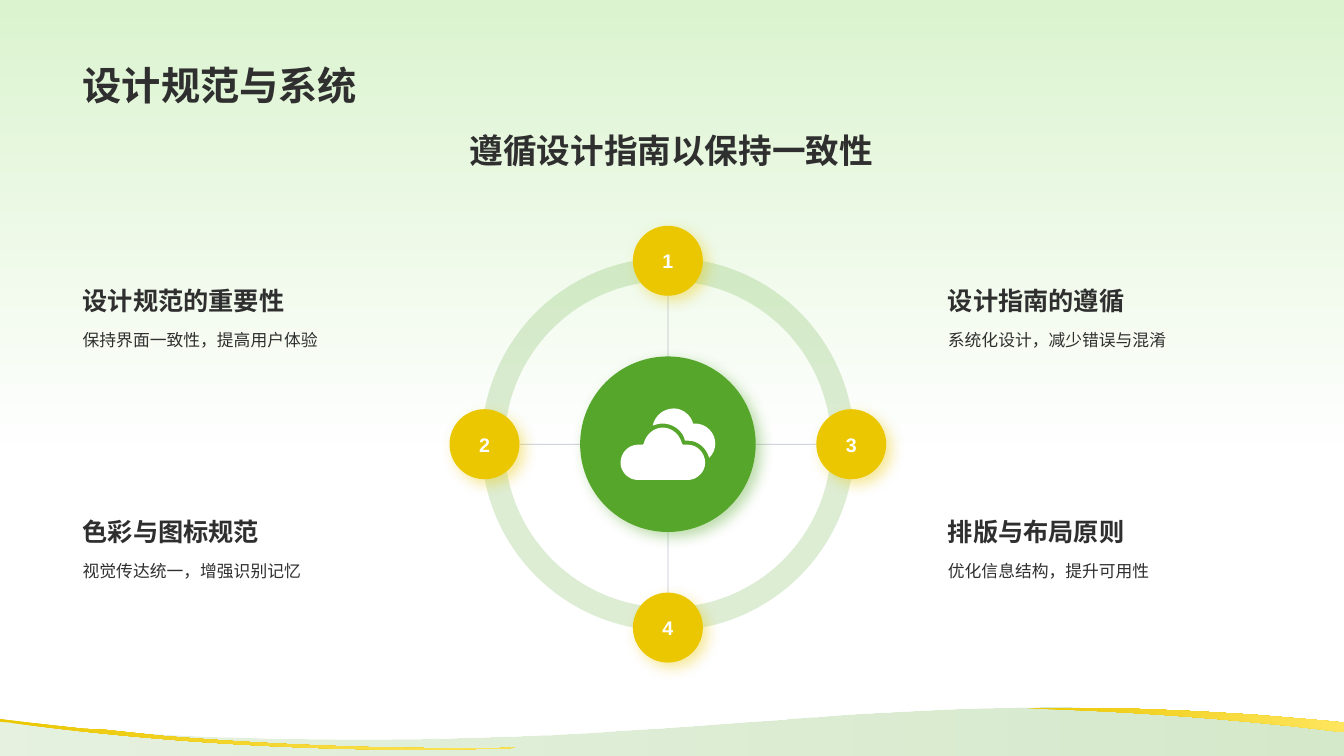
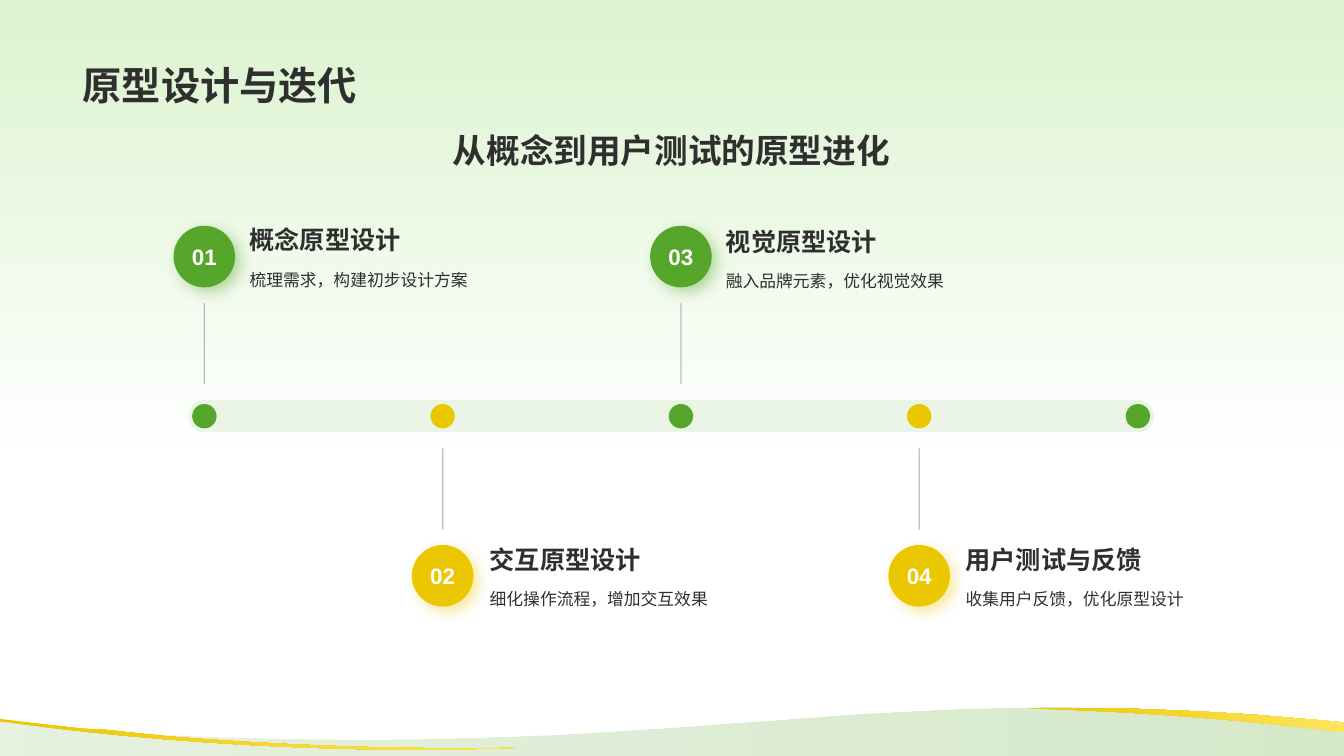
from collections import namedtuple
from math import cos, pi, sin

from lxml.etree import SubElement
from pptx import Presentation
from pptx.dml.color import RGBColor
from pptx.enum.shapes import MSO_CONNECTOR as Connector, MSO_SHAPE as Shape
from pptx.enum.text import MSO_ANCHOR as Anchor, MSO_AUTO_SIZE as AutoSize, PP_ALIGN as Align
from pptx.oxml.ns import qn
from pptx.util import Pt

GREEN, YELLOW, LEMON = "55A62A", "EBC702", "FEE55D"
INK, WHITE, MINT, SLATE = "2F2F2F", "FFFFFF", "DBF3CF", "778495"
FONT = "Arial"

Box = namedtuple("Box", "left top width height")
TITLE_BOX = Box(52, 10.2, 855, 70.6)
SUBTITLE_BOX = Box(52, 89.2, 855, 38)

WAVE = [(742.3, 505.4), (802.1, 505.4, 869.8, 507.6, 946.1, 514.8), (960, 516.2),
        (960, 540), (0, 540), (0, 513.4), (4.3, 514.1),
        (43.9, 519.8, 222.5, 541.4, 528.5, 516.2),
        (582.5, 512.6, 653, 506.2, 742.3, 505.4)]
LEFT_RIBBON = [(0, 513.4), (4.3, 514.1), (14.4, 515.5, 33.1, 517.7, 59.8, 520.6),
               (74.9, 521.3), (115.2, 525.6), (176.4, 530.6, 261.4, 535.7, 367.9, 534.2),
               (213.1, 540, 71.3, 524.9, 7.2, 516.2), (0, 515.5)]
RIGHT_RIBBON = [(742.3, 505.4), (757.4, 505.4, 772.6, 505.4, 788.4, 505.4),
                (811.4, 506.2), (818.6, 506.9),
                (829.4, 506.9, 843.1, 507.6, 858.2, 508.3), (895, 510.5), (946.1, 514.8),
                (960, 516.2), (960, 522.7), (956.9, 522.7),
                (916.6, 517.7, 835.9, 509, 739.4, 506.2), (729.4, 505.4)]
FRONT_CLOUD = [(42, 19), (51, 19, 59, 26, 61, 35), (61, 35, 61, 36, 62, 36),
               (62, 36, 63, 36, 63, 36), (64, 36, 65, 36, 67, 36),
               (76, 36, 84, 44, 84, 54), (84, 63, 76, 71, 67, 71), (17, 71),
               (8, 71, 0, 63, 0, 54), (0, 44, 8, 36, 17, 36), (18, 36, 20, 36, 21, 36),
               (21, 36, 22, 36, 22, 36), (23, 36, 23, 35, 23, 35),
               (25, 26, 33, 19, 42, 19)]
BACK_CLOUD = [(53, 0), (62, 0, 70, 7, 72, 15), (73, 15, 74, 15, 74, 15),
              (85, 15, 94, 24, 94, 35), (94, 40, 92, 45, 88, 49),
              (85, 39, 77, 32, 67, 32), (66, 32, 65, 32, 64, 32),
              (62, 22, 52, 15, 42, 15), (38, 15, 35, 16, 32, 17), (34, 7, 43, 0, 53, 0)]


def color(value):
    return RGBColor.from_string(value)


def points(box):
    return [Pt(length) for length in box]


def around(x, y, size):
    return Box(x - size / 2, y - size / 2, size, size)


def set_opacity(shape, *percents):
    for element, percent in zip(shape.element.iter(qn("a:srgbClr")), percents):
        SubElement(element, qn("a:alpha"), val=str(percent * 1000))


def set_gradient(fill, stops, angle):
    fill.gradient()
    fill.gradient_angle = angle
    for stop, (position, value) in zip(fill.gradient_stops, stops):
        stop.position = position
        stop.color.rgb = color(value)


def add_glow(shape, value):
    effects = shape.element.spPr.find(qn("a:effectLst"))
    shadow = SubElement(effects, qn("a:outerShdw"), blurRad=str(Pt(10)), dist=str(Pt(5)),
                        dir="2700000", algn="tl", rotWithShape="0")
    tint = SubElement(shadow, qn("a:srgbClr"), val=value)
    SubElement(tint, qn("a:alpha"), val="40000")


def add_figure(slide, kind, box, value, opacity=None, glow=False):
    shape = slide.shapes.add_shape(kind, *points(box))
    shape.shadow.inherit = False
    shape.fill.solid()
    shape.fill.fore_color.rgb = color(value)
    shape.line.fill.background()
    if opacity:
        set_opacity(shape, opacity)
    if glow:
        add_glow(shape, value)
    return shape


def bend(shape, segments):
    lines = iter(list(shape.element.iter(qn("a:lnTo"))))
    for segment in segments:
        first = next(lines)
        if len(segment) == 6:
            first.tag = qn("a:cubicBezTo")
            for line in (next(lines), next(lines)):
                first.append(line[0])
                line.getparent().remove(line)


def add_outline(slide, outlines, left=0, top=0, scale=1):
    def place(values):
        return [(Pt(left + x * scale), Pt(top + y * scale))
                for x, y in zip(values[::2], values[1::2])]

    builder = slide.shapes.build_freeform(*place(outlines[0][0])[0])
    for index, (start, *segments) in enumerate(outlines):
        if index:
            builder.move_to(*place(start)[0])
        builder.add_line_segments([point for segment in segments for point in place(segment)])
    shape = builder.convert_to_shape()
    bend(shape, [segment for outline in outlines for segment in outline[1:]])
    shape.shadow.inherit = False
    shape.line.fill.background()
    return shape


def add_line(slide, start, end, width):
    line = slide.shapes.add_connector(Connector.STRAIGHT, *points(start + end))
    line.line.width = Pt(width)
    line.line.color.rgb = color(SLATE)
    set_opacity(line, 50)
    SubElement(line.element.spPr, qn("a:effectLst"))


def write(shape, text, size, value=INK, bold=True, align=Align.LEFT, anchor=Anchor.TOP,
          spacing=None):
    frame = shape.text_frame
    frame.auto_size = AutoSize.NONE
    frame.word_wrap = True
    frame.vertical_anchor = anchor
    paragraph = frame.paragraphs[0]
    paragraph.alignment = align
    if spacing:
        paragraph.line_spacing = spacing
    run = paragraph.add_run()
    run.text = text
    run.font.name = FONT
    run.font.size = Pt(size)
    run.font.bold = bold
    run.font.color.rgb = color(value)


def add_text(slide, box, text, size, **style):
    write(slide.shapes.add_textbox(*points(box)), text, size, **style)


def add_badge(slide, box, value, label, size):
    badge = add_figure(slide, Shape.OVAL, box, value, glow=True)
    frame = badge.text_frame
    frame.margin_left = frame.margin_top = frame.margin_right = frame.margin_bottom = 0
    write(badge, label, size, value=WHITE, align=Align.CENTER, anchor=Anchor.MIDDLE)
    frame.word_wrap = False


def add_caption(slide, box, heading_height, heading, detail, gap=0):
    add_text(slide, box._replace(height=heading_height), heading, 18, anchor=Anchor.BOTTOM)
    offset = heading_height + gap
    add_text(slide, Box(box.left, box.top + offset, box.width, box.height - offset),
             detail, 12, bold=False, spacing=1.2)


def decorate_layout(layout, slide):
    set_gradient(layout.background.fill, [(0, MINT), (0.61, WHITE)], 270)
    for placeholder in list(layout.placeholders):
        if placeholder.placeholder_format.idx:
            layout.shapes.element.remove(placeholder.element)
    bands = [(WAVE, GREEN, GREEN, (15, 25)), (LEFT_RIBBON, YELLOW, LEMON, ()),
             (RIGHT_RIBBON, YELLOW, LEMON, ())]
    for index, (outline, start, end, opacities) in enumerate(bands):
        band = add_outline(slide, [outline])
        set_gradient(band.fill, [(0, start), (1, end)], 0)
        set_opacity(band, *opacities)
        layout.shapes.element.insert(2 + index, band.element)


def add_headings(slide, title, subtitle):
    placeholder = slide.shapes.title
    placeholder.left, placeholder.top, placeholder.width, placeholder.height = points(TITLE_BOX)
    write(placeholder, title, 28, anchor=Anchor.BOTTOM)
    add_text(slide, SUBTITLE_BOX, subtitle, 24, align=Align.CENTER)


def add_wheel(slide, box):
    bead = 50
    x, y = box.left + box.width / 2, box.top + box.height / 2
    orbit = (box.width - bead) / 2
    reach = orbit - bead / 2
    ring = add_figure(slide, Shape.DONUT, around(x, y, 266.4), GREEN, opacity=20)
    ring.adjustments[0] = 0.062
    add_line(slide, (x - reach, y), (x + reach, y), 0.5)
    add_line(slide, (x, y - reach), (x, y + reach), 0.5)
    add_figure(slide, Shape.OVAL, around(x, y, 125.4), GREEN, glow=True)
    scale = 0.72
    cloud = add_outline(slide, [FRONT_CLOUD, BACK_CLOUD], x - 47 * scale, y - 35.5 * scale, scale)
    cloud.fill.solid()
    cloud.fill.fore_color.rgb = color(WHITE)
    for label, turn in zip("1234", (-0.5, 1, 0, 0.5)):
        center = x + orbit * cos(turn * pi), y + orbit * sin(turn * pi)
        add_badge(slide, around(*center, bead), YELLOW, label, 14)


def add_caption_grid(slide, box, captions):
    width, height = 237, 137.7
    for index, (heading, detail) in enumerate(captions):
        row, column = divmod(index, 2)
        cell = Box(box.left + column * (box.width - width),
                   box.top + row * (box.height - height), width, height)
        add_caption(slide, cell, 49.2, heading, detail)


def add_timeline(slide, box, steps):
    dot, badge, gap, stem_end, badge_offset, step_width = 17.4, 44, 23, 81, 114, 170.2
    y = box.top + box.height / 2
    first = box.left + 11.6
    bar = add_figure(slide, Shape.ROUNDED_RECTANGLE, box, GREEN, opacity=10)
    bar.adjustments[0] = 0.5
    add_figure(slide, Shape.OVAL, around(box.left + box.width - 11.6, y, dot), GREEN)
    for index, (heading, detail, indent, rise) in enumerate(steps):
        x = first + index * step_width
        side, value = (1, YELLOW) if index % 2 else (-1, GREEN)
        badge_y = y + side * badge_offset
        add_figure(slide, Shape.OVAL, around(x, y, dot), value)
        ends = sorted((y + side * gap, y + side * stem_end))
        add_line(slide, (x, ends[0]), (x, ends[1]), 1)
        add_badge(slide, around(x, badge_y, badge), value, f"{index + 1:02}", 16)
        caption = Box(x + indent, badge_y - rise, 224, 105)
        add_caption(slide, caption, 38.2, heading, detail, gap=0.6)


def main():
    presentation = Presentation()
    presentation.slide_width, presentation.slide_height = Pt(960), Pt(540)
    layout = presentation.slide_layouts[5]

    system = presentation.slides.add_slide(layout)
    decorate_layout(layout, system)
    add_headings(system, "设计规范与系统", "遵循设计指南以保持一致性")
    add_wheel(system, Box(321.1, 161.3, 312, 312))
    add_caption_grid(system, Box(52, 180, 855, 302.7), [
        ("设计规范的重要性", "保持界面一致性，提高用户体验"),
        ("设计指南的遵循", "系统化设计，减少错误与混淆"),
        ("色彩与图标规范", "视觉传达统一，增强识别记忆"),
        ("排版与布局原则", "优化信息结构，提升可用性"),
    ])

    prototype = presentation.slides.add_slide(layout)
    add_headings(prototype, "原型设计与迭代", "从概念到用户测试的原型进化")
    add_timeline(prototype, Box(134.4, 285.8, 690, 23), [
        ("概念原型设计", "梳理需求，构建初步设计方案", 25.2, 35.9),
        ("交互原型设计", "细化操作流程，增加交互效果", 26.5, 35.7),
        ("视觉原型设计", "融入品牌元素，优化视觉效果", 25, 34.9),
        ("用户测试与反馈", "收集用户反馈，优化原型设计", 26, 35.7),
    ])
    presentation.save("out.pptx")


if __name__ == "__main__":
    main()
